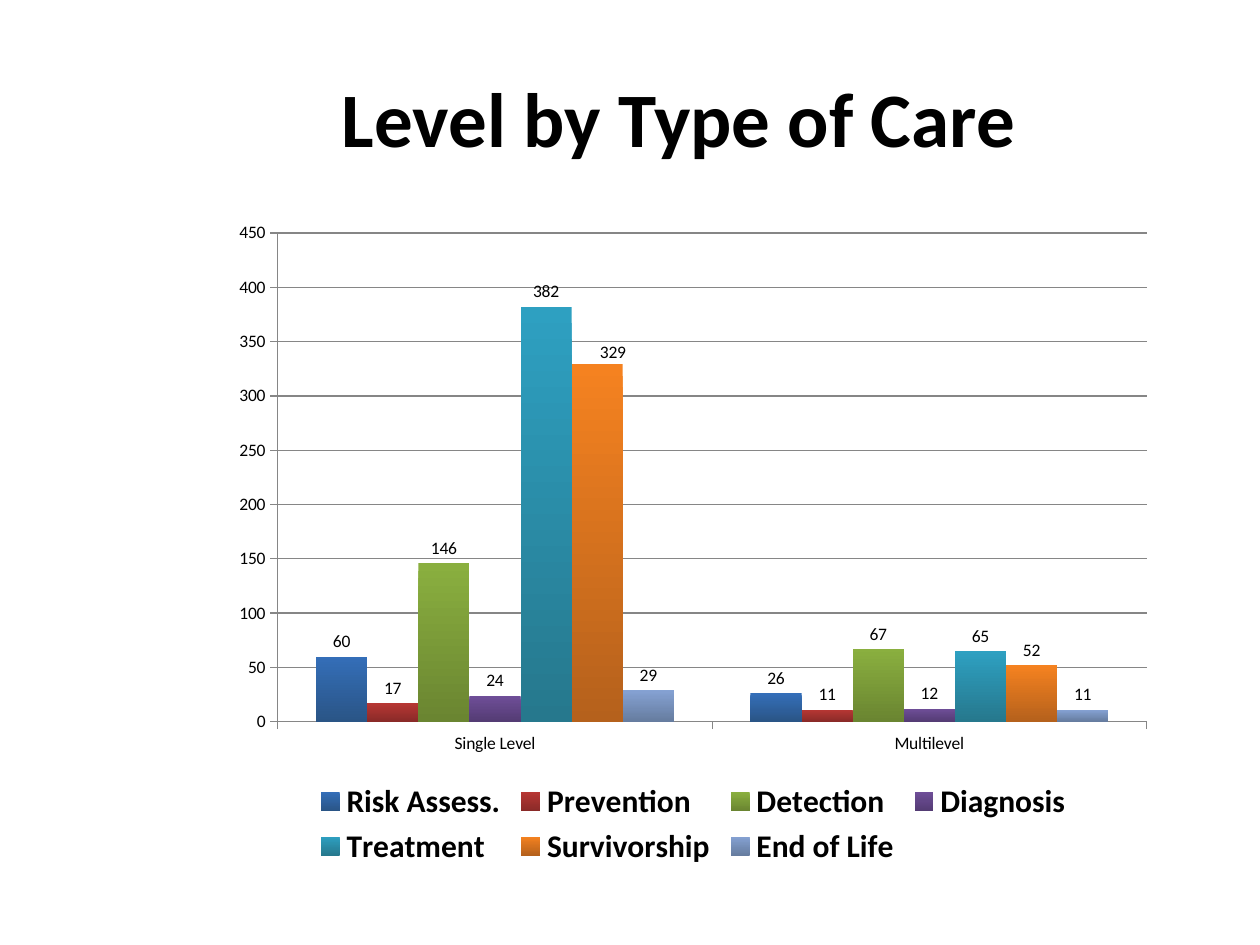
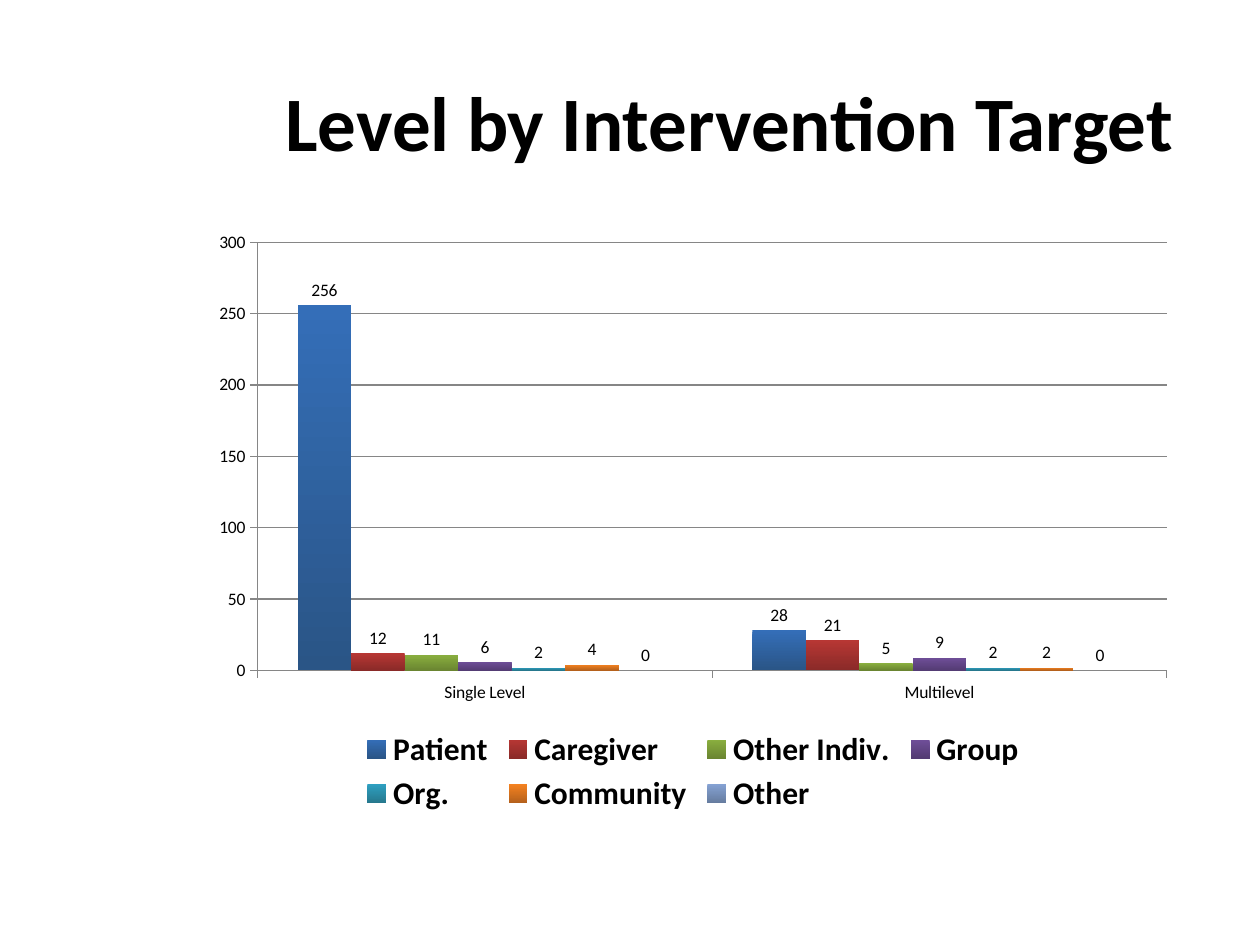
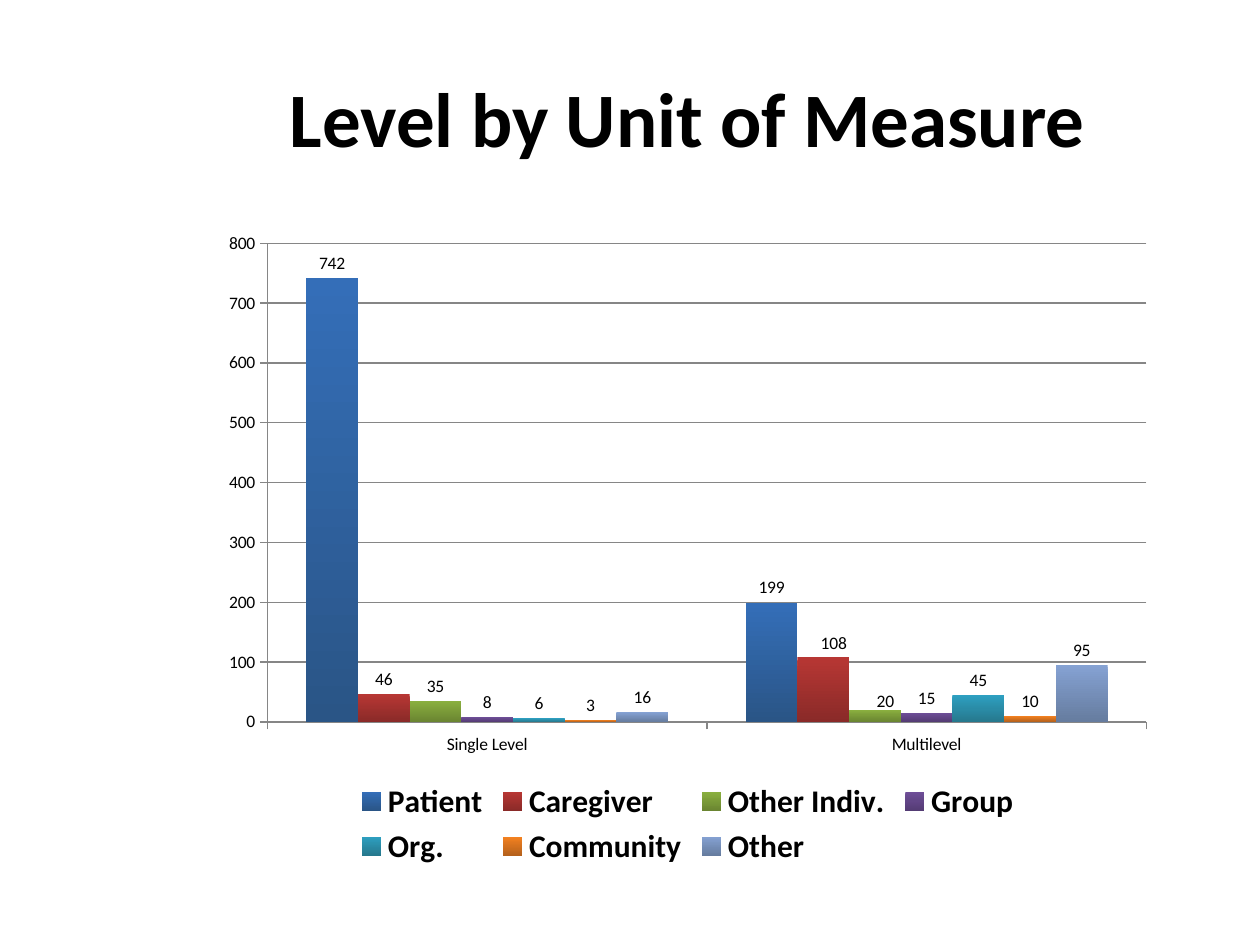
from lxml import etree
from pptx import Presentation
from pptx.chart.data import CategoryChartData
from pptx.dml.color import RGBColor
from pptx.enum.chart import XL_CHART_TYPE, XL_LABEL_POSITION, XL_LEGEND_POSITION, XL_TICK_MARK
from pptx.enum.text import MSO_ANCHOR, PP_ALIGN
from pptx.oxml.ns import qn
from pptx.util import Pt

CLUSTERED = XL_CHART_TYPE.COLUMN_CLUSTERED
OUTSIDE_END = XL_LABEL_POSITION.OUTSIDE_END
BOTTOM = XL_LEGEND_POSITION.BOTTOM
TICK_OUT, TICK_NONE = XL_TICK_MARK.OUTSIDE, XL_TICK_MARK.NONE
MIDDLE, CENTER = MSO_ANCHOR.MIDDLE, PP_ALIGN.CENTER

PX = 7620
SLIDE_SIZE = (1200, 900)
TITLE_SIZE = (970, 150)
FONT = "Calibri"
COLORS = {
    "text": "000000",
    "background": "FFFFFF",
    "rule": "868686",
    "blue": ("346EB8", "2A5586"),
    "red": ("B73734", "8A2A28"),
    "green": ("8AAF3F", "6A8531"),
    "purple": ("6F4E98", "543C74"),
    "teal": ("2EA0C1", "26788D"),
    "orange": ("F58220", "B5611C"),
    "pale": ("85A2D3", "667C9F"),
}
BAR_COLORS = ("blue", "red", "green", "purple", "teal", "orange", "pale")
LEVELS = ("Single Level", "Multilevel")
TARGETS = ("Patient", "Caregiver", "Other Indiv.", "Group", "Org.", "Community", "Other")
CARE_TYPES = ("Risk Assess.", "Prevention", "Detection", "Diagnosis",
              "Treatment", "Survivorship", "End of Life")

SLIDES = [
    {
        "title": "Level by Type of Care ",
        "title_at": (170, 36),
        "chart_box": (210, 200, 900, 630),
        "groups": CARE_TYPES,
        "counts": [(60, 26), (17, 11), (146, 67), (24, 12), (382, 65), (329, 52), (29, 11)],
        "scale": (450, 50),
        "label_shifts": {("Survivorship", 0): (15, 3)},
    },
    {
        "title": "Level by Intervention Target",
        "title_at": (210, 40),
        "chart_box": (190, 210, 940, 570),
        "groups": TARGETS,
        "counts": [(256, 28), (12, 21), (11, 5), (6, 9), (2, 2), (4, 2), (0, 0)],
        "scale": (300, 50),
        "label_shifts": {},
    },
    {
        "title": "Level by Unit of Measure",
        "title_at": (170, 36),
        "chart_box": (200, 210, 910, 620),
        "groups": TARGETS,
        "counts": [(742, 199), (46, 108), (35, 20), (8, 15), (6, 45), (3, 10), (16, 95)],
        "scale": (800, 100),
        "label_shifts": {("Caregiver", 1): (10, 1), ("Other Indiv.", 1): (10, 6)},
    },
]


def rgb(hex_color):
    return RGBColor.from_string(hex_color)


def emu(lengths):
    return [length * PX for length in lengths]


def format_font(font, size, bold=False):
    font.name = FONT
    font.size = Pt(size)
    font.bold = bold
    font.color.rgb = rgb(COLORS["text"])


def write_text(placeholder, text, size=44, bold=True, align=CENTER, anchor=MIDDLE):
    frame = placeholder.text_frame
    frame.word_wrap = True
    frame.vertical_anchor = anchor
    frame.text = text
    paragraph = frame.paragraphs[0]
    paragraph.alignment = align
    format_font(paragraph.runs[0].font, size, bold)


def format_rule(line):
    line.color.rgb = rgb(COLORS["rule"])
    line.width = Pt(0.75)


def format_axis(axis):
    axis.major_tick_mark = TICK_OUT
    axis.minor_tick_mark = TICK_NONE
    format_font(axis.tick_labels.font, 10)
    format_rule(axis.format.line)


def shift_label(point, x, y):
    point.data_label.position = OUTSIDE_END
    label = point.data_label._get_or_add_dLbl()
    layout = etree.Element(qn("c:layout"))
    manual = etree.SubElement(layout, qn("c:manualLayout"))
    for axis, share in (("x", x), ("y", y)):
        etree.SubElement(manual, qn(f"c:{axis}")).set("val", f"{share:.4f}")
    label.insert(1, layout)


def format_bars(bars, color):
    bars.invert_if_negative = False
    bars.smooth = False
    fill = bars.format.fill
    fill.gradient()
    fill.gradient_angle = 270
    for stop, shade in zip(fill.gradient_stops, COLORS[color]):
        stop.color.rgb = rgb(shade)
    labels = bars.data_labels
    labels.show_value = True
    labels.position = OUTSIDE_END
    format_font(labels.font, 10)


def add_level_chart(slide, content):
    counts = CategoryChartData(number_format="General")
    counts.categories = LEVELS
    for group, values in zip(content["groups"], content["counts"]):
        counts.add_series(group, values)
    box = content["chart_box"]
    chart = slide.shapes.add_chart(CLUSTERED, *emu(box), counts).chart
    chart.has_title = False
    format_font(chart.font, 10)
    chart.has_legend = True
    chart.legend.position = BOTTOM
    chart.legend.include_in_layout = False
    format_font(chart.legend.font, 18, bold=True)

    for axis in (chart.category_axis, chart.value_axis):
        format_axis(axis)
    value_axis = chart.value_axis
    value_axis.minimum_scale = 0
    value_axis.maximum_scale, value_axis.major_unit = content["scale"]
    value_axis.has_major_gridlines = True
    format_rule(value_axis.major_gridlines.format.line)

    plot = chart.plots[0]
    plot.vary_by_categories = False
    plot.gap_width = 150
    plot.overlap = 0
    for bars, color in zip(plot.series, BAR_COLORS):
        format_bars(bars, color)
        for level in range(len(LEVELS)):
            shift = content["label_shifts"].get((bars.name, level))
            if shift:
                shift_label(bars.points[level], shift[0] / box[2], shift[1] / box[3])


def main():
    deck = Presentation()
    deck.slide_width, deck.slide_height = emu(SLIDE_SIZE)
    title_only = deck.slide_layouts[5]
    background = deck.slide_master.background.fill
    background.solid()
    background.fore_color.rgb = rgb(COLORS["background"])
    for content in SLIDES:
        slide = deck.slides.add_slide(title_only)
        title = slide.shapes.title
        title.left, title.top = emu(content["title_at"])
        title.width, title.height = emu(TITLE_SIZE)
        write_text(title, content["title"])
        add_level_chart(slide, content)
    deck.save("out.pptx")


if __name__ == "__main__":
    main()
